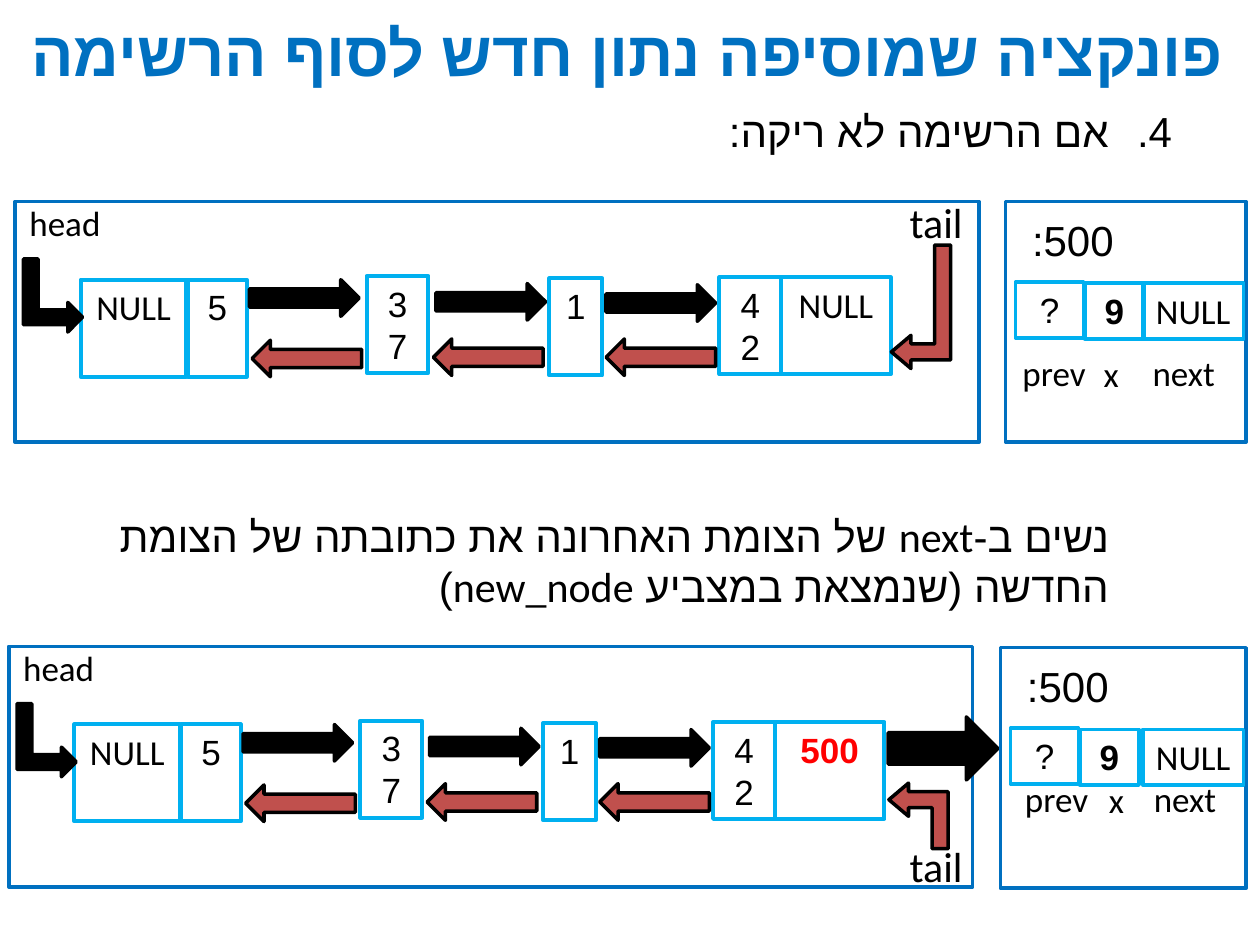
from dataclasses import dataclass
from typing import NamedTuple, Optional

from pptx import Presentation
from pptx.dml.color import RGBColor as RGB
from pptx.enum.shapes import MSO_SHAPE as SHAPE
from pptx.enum.text import MSO_ANCHOR as ANCHOR, PP_ALIGN as ALIGN
from pptx.oxml.ns import qn
from pptx.util import Inches, Pt


@dataclass(frozen=True)
class Theme:
    latin: str = "Calibri"
    heading: str = "Arial"
    title_size: int = 36
    body_size: int = 24
    cell_size: int = 20
    black: RGB = RGB(0, 0, 0)
    frame: RGB = RGB(0x00, 0x70, 0xC0)
    cell: RGB = RGB(0x00, 0xB0, 0xF0)
    back: RGB = RGB(0xC0, 0x50, 0x4D)
    new: RGB = RGB(0xFF, 0, 0)
    frame_line: float = 2
    cell_line: float = 2.25


T = Theme()


class Box(NamedTuple):
    x: float
    y: float
    w: float
    h: float

    def moved(self, dx: float, dy: float) -> "Box":
        return self._replace(x=self.x + dx, y=self.y + dy)

    def lengths(self) -> list:
        return [Inches(v) for v in self]


class Cell(NamedTuple):
    text: str
    box: Box
    bold: bool = False


class Label(NamedTuple):
    text: str
    box: Box
    size: int = T.cell_size


class Arrow(NamedTuple):
    box: Box
    fill: RGB = T.black
    kind: SHAPE = SHAPE.RIGHT_ARROW
    rotation: int = 0
    flip: bool = False
    adjust: tuple = ()


NODE_H, FIELD_H = 0.77, 0.44
BENT_ADJUST = (0.27, 0.28, 0.331)

LIST_FRAME = Box(0.12, 1.6, 7.65, 1.91)
NODES = [
    Cell("NULL", Box(0.64, 2.22, 0.84, NODE_H)),
    Cell("5", Box(1.49, 2.22, 0.47, NODE_H)),
    Cell("37", Box(2.91, 2.19, 0.49, NODE_H)),
    Cell("1", Box(4.36, 2.21, 0.42, NODE_H)),
    Cell("42", Box(5.71, 2.2, 0.49, NODE_H)),
]
LAST_NEXT = Box(6.2, 2.2, 0.87, NODE_H)
HEAD = Label("head", Box(0.02, 1.55, 0.99, 0.44))
LINKS = [Arrow(Box(x, y, 0.87, 0.29))
         for x, y in ((1.98, 2.22), (3.46, 2.25), (4.81, 2.26))]
LINKS += [Arrow(Box(x, y, 0.87, 0.29), T.back, rotation=180)
          for x, y in ((2, 2.7), (3.44, 2.69), (4.81, 2.69))]
LINKS.append(Arrow(Box(0.13, 2.11, 0.58, 0.47), kind=SHAPE.BENT_UP_ARROW, rotation=90))


def put_text(sp, text: str, *, size: float = T.cell_size, color: RGB = T.black,
             font: str = T.latin, bold: bool = False, align: ALIGN = ALIGN.CENTER,
             anchor: ANCHOR = ANCHOR.TOP, level: int = 0, margin: float = 0,
             indent: float = 0, start: Optional[int] = None) -> None:
    tf = sp.text_frame
    tf.word_wrap = True
    tf.vertical_anchor = anchor
    p = tf.paragraphs[0]
    p.alignment = align
    p.level = level
    pPr = p._p.get_or_add_pPr()
    pPr.set("rtl", "1")
    pPr.set("marL", str(Inches(margin)))
    pPr.set("indent", str(Inches(indent)))
    if start is not None:
        bullet = pPr.makeelement(qn("a:buAutoNum"),
                                 {"type": "arabicPeriod", "startAt": str(start)})
        pPr.append(bullet)
    r = p.add_run()
    r.text = text
    r.font.size = Pt(size)
    r.font.bold = bold
    r.font.name = font
    r.font.color.rgb = color
    rPr = r.font._element
    rPr.append(rPr.makeelement(qn("a:cs"), {"typeface": T.heading}))


def add_text(s, text: str, box: Box, **fmt) -> None:
    put_text(s.shapes.add_textbox(*box.lengths()), text, **fmt)


def add_rect(s, box: Box, color: RGB, width: float):
    sp = s.shapes.add_shape(SHAPE.RECTANGLE, *box.lengths())
    sp.shadow.inherit = False
    sp.fill.background()
    sp.line.color.rgb = color
    sp.line.width = Pt(width)
    return sp


def add_frame(s, box: Box) -> None:
    add_rect(s, box, T.frame, T.frame_line)


def add_cell(s, text: str, box: Box, **fmt) -> None:
    put_text(add_rect(s, box, T.cell, T.cell_line), text, **fmt)


def add_arrow(s, arrow: Arrow, dx: float = 0, dy: float = 0) -> None:
    sp = s.shapes.add_shape(arrow.kind, *arrow.box.moved(dx, dy).lengths())
    sp.shadow.inherit = False
    sp.fill.solid()
    sp.fill.fore_color.rgb = arrow.fill
    sp.line.color.rgb = T.black
    sp.line.width = Pt(T.frame_line)
    sp.rotation = arrow.rotation
    for i, value in enumerate(arrow.adjust):
        sp.adjustments[i] = value
    if arrow.flip:
        sp._element.spPr.find(qn("a:xfrm")).set("flipH", "1")


def add_list(s, dx: float, dy: float, last: str, tail: Label, tail_arrow: Arrow,
             **last_fmt) -> None:
    add_frame(s, LIST_FRAME.moved(dx, dy))
    for node in NODES:
        add_cell(s, node.text, node.box.moved(dx, dy))
    add_cell(s, last, LAST_NEXT.moved(dx, dy), **last_fmt)
    for link in LINKS:
        add_arrow(s, link, dx, dy)
    add_arrow(s, tail_arrow)
    add_text(s, HEAD.text, HEAD.box.moved(dx, dy))
    add_text(s, tail.text, tail.box, size=tail.size)


def add_new_node(s, frame: Box, null_x: float, labels: list) -> None:
    x, y = frame.x, frame.y
    add_frame(s, frame)
    add_text(s, "500:", Box(x + 0.03, y + 0.05, 1.01, 0.5), size=T.body_size)
    for cell in (Cell("?", Box(x + 0.08, y + 0.64, 0.54, FIELD_H)),
                 Cell("9", Box(x + 0.63, y + 0.65, 0.47, FIELD_H), True),
                 Cell("NULL", Box(null_x, y + 0.65, 0.8, FIELD_H))):
        add_cell(s, cell.text, cell.box, bold=cell.bold)
    for label in labels:
        add_text(s, label.text, label.box)


def field_labels(y: float, prev_x: float, x_x: float, next_x: float) -> list:
    return [Label("prev", Box(prev_x, y, 0.99, FIELD_H)),
            Label("x", Box(x_x, y + 0.01, 0.44, FIELD_H)),
            Label("next", Box(next_x, y, 0.99, FIELD_H))]


def main() -> None:
    prs = Presentation()
    prs.slide_width, prs.slide_height = Inches(10), Inches(7.5)
    s = prs.slides.add_slide(prs.slide_layouts[6])

    add_text(s, "פונקציה שמוסיפה נתון חדש לסוף הרשימה", Box(0, 0, 9.96, 0.81),
             size=T.title_size, color=T.frame, font=T.heading, bold=True,
             anchor=ANCHOR.MIDDLE)
    body = dict(size=T.body_size, align=ALIGN.RIGHT, margin=1)
    add_text(s, "אם הרשימה לא ריקה:", Box(0.07, 0.79, 9.83, 0.5),
             level=1, indent=-0.5, start=4, **body)
    add_text(s, "נשים ב-next של הצומת האחרונה את כתובתה של הצומת החדשה (שנמצאת במצביע new_node)",
             Box(0.07, 4, 9.83, 0.91), level=2, **body)

    bent = dict(fill=T.back, kind=SHAPE.BENT_UP_ARROW, rotation=270, adjust=BENT_ADJUST)
    add_list(s, 0, 0, "NULL", Label("tail", Box(7, 1.51, 0.86, 0.5), T.body_size),
             Arrow(Box(6.82, 2.2, 0.98, 0.47), flip=True, **bent))
    add_list(s, -0.05, 3.53, "500", Label("tail", Box(7, 6.62, 0.86, 0.5), T.body_size),
             Arrow(Box(7.03, 6.24, 0.52, 0.47), **bent), bold=True, color=T.new)
    add_arrow(s, Arrow(Box(7.05, 5.69, 0.87, 0.5)))

    add_new_node(s, Box(7.98, 1.6, 1.91, 1.91), 9.07, field_labels(2.74, 7.87, 8.6, 8.9))
    add_new_node(s, Box(7.94, 5.14, 1.95, 1.91), 9.07, field_labels(6.12, 7.89, 8.64, 8.91))

    prs.save("out.pptx")


if __name__ == "__main__":
    main()
